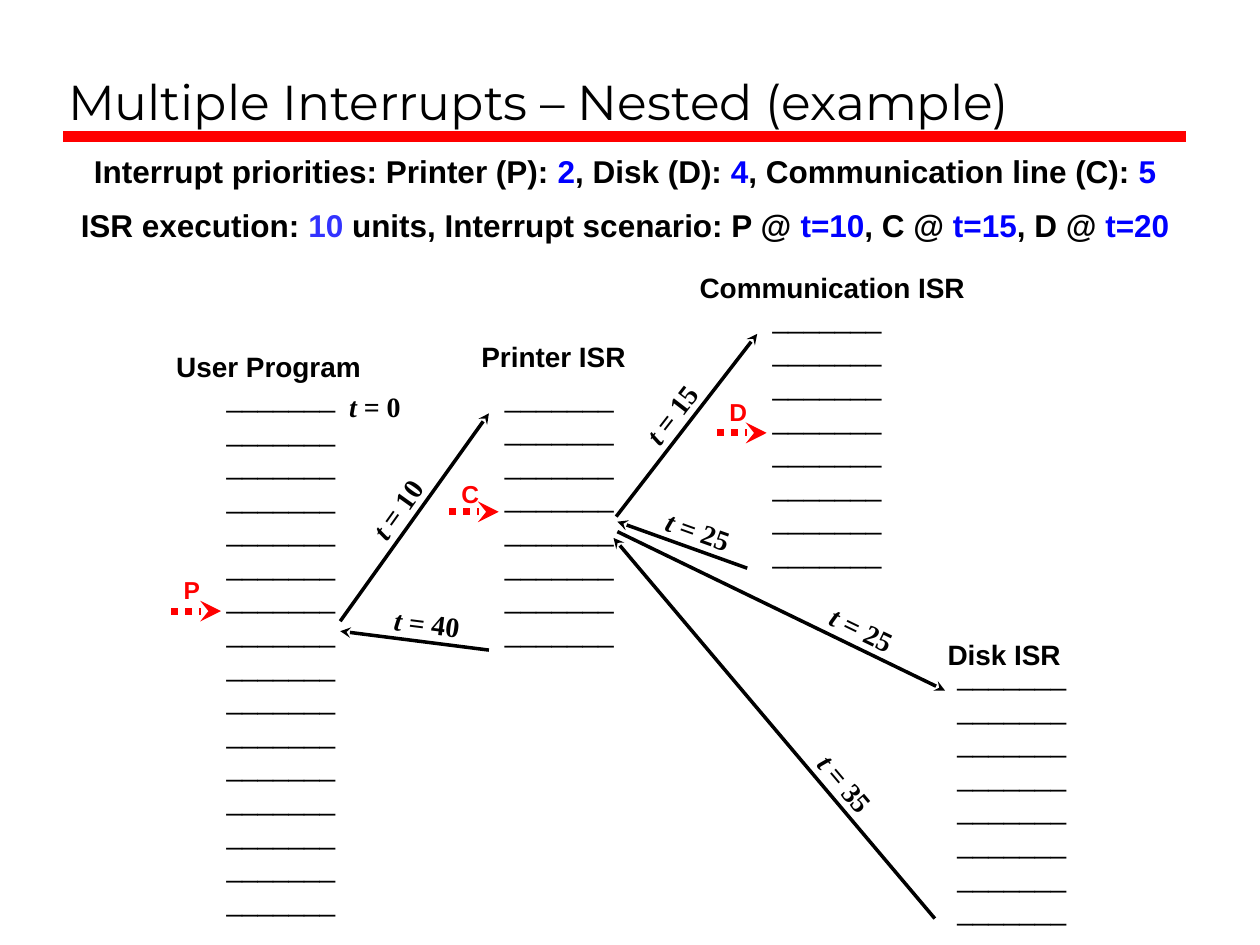
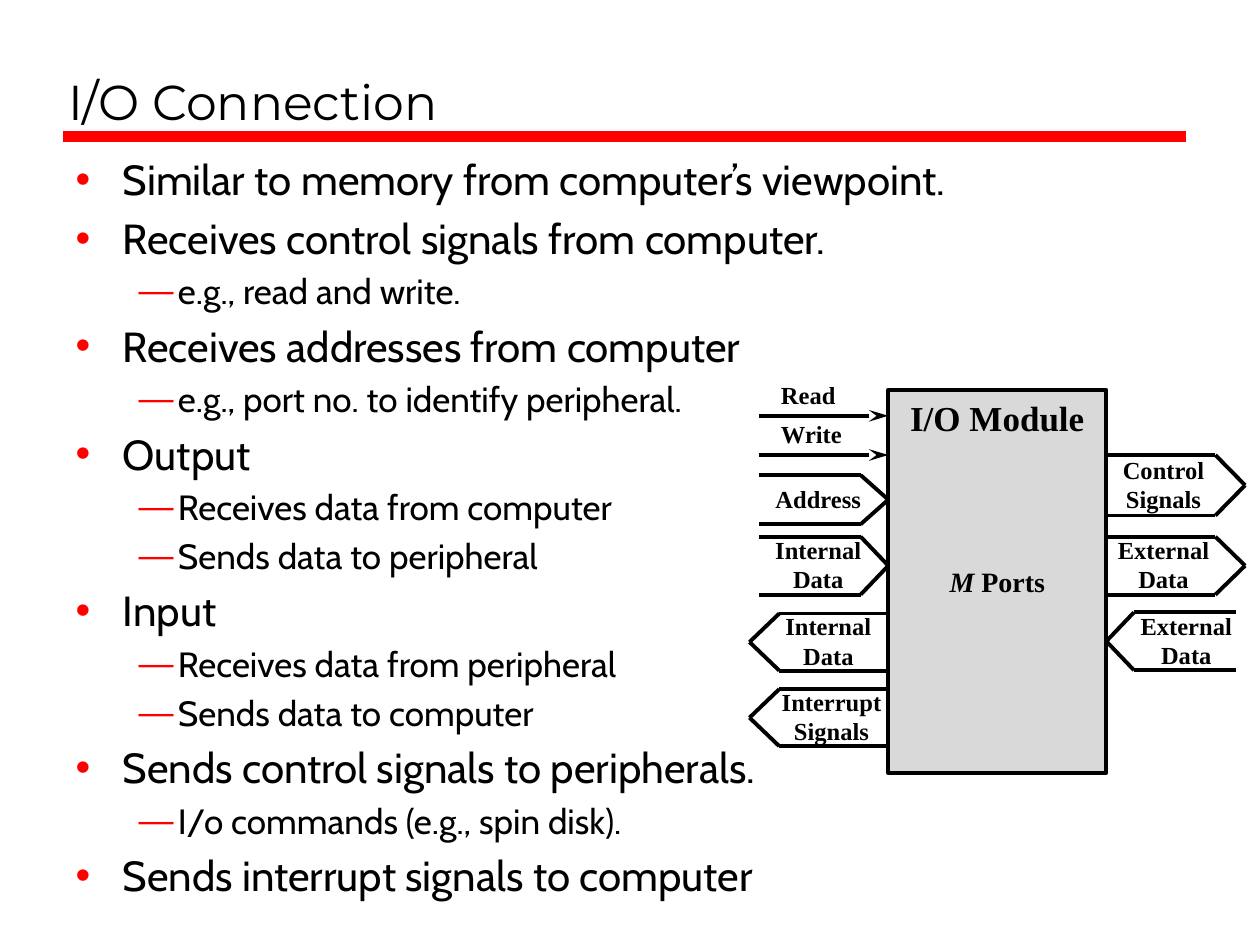
from collections import namedtuple
from dataclasses import dataclass
from itertools import pairwise
from math import atan2, cos, degrees, sin

from lxml.etree import SubElement as Sub
from pptx import Presentation
from pptx.dml.color import RGBColor as RGB
from pptx.enum.dml import MSO_LINE as Dash
from pptx.enum.shapes import MSO_CONNECTOR as Link, MSO_SHAPE as Kind
from pptx.enum.text import MSO_ANCHOR as Anchor, MSO_AUTO_SIZE as Auto, PP_ALIGN as Align
from pptx.oxml.ns import qn
from pptx.util import Pt

Box = namedtuple("Box", "x y w h")


@dataclass(frozen=True)
class Theme:
    """Colours, fonts and type sizes shared by the slides."""
    ink: str = "000000"
    red: str = "FF0000"
    blue: str = "0000FF"
    pale: str = "3333FF"
    gray: str = "D9D9D9"
    head: str = "Montserrat"
    body: str = "Cabin"
    sans: str = "Arial"
    serif: str = "Times New Roman"
    title: int = 28
    big: int = 24
    mid: int = 20
    note: int = 18
    text: int = 16
    small: int = 14
    lead: float = 1.2


T = Theme()
HEAD = Box(31.7, 12.2, 645.8, 66.2)
RULE = Box(36, 78, 642, 0)
BRIEF = Box(31, 83.5, 652.3, 61.9)
TRACE = Box(90, 150, 540, 390)
LIST = Box(36, 84.2, 643.7, 444.2)
MODULE = Box(507.6, 222.8, 124.6, 218.9)

ROUTINES = [
    ("User Program", 16, 32.4, 63.3, -28.8, -17.1, 121.7),
    ("Printer ISR", 8, 191.5, 63.1, -13.5, -22.8, 97.9),
    ("Communication ISR", 8, 344.5, 18.1, -41.8, -16.9, 167.8),
    ("Disk ISR", 8, 450, 222.2, -5.6, -11.5, 89),
]
JUMPS = [
    (10, (104.4, 205), (189.4, 86.2), -2.3),
    (15, (262.1, 145.2), (342.7, 40.8), -0.7),
    (25, (262.8, 153.8), (450, 244.6), 46),
    (25, (337, 174.7), (262.8, 148.1), 5.8),
    (35, (444.2, 374.9), (260.6, 157.4), 50.2),
    (40, (189.4, 221.5), (104.4, 210.7), 5.9),
]
CUES = [("P", 7.9, 199.2, 24.2), ("C", 166.6, 142.5, 22.5), ("D", 319.7, 97.4, 24.3)]
BRIEFS = [
    "Interrupt priorities: Printer (P): *2*, Disk (D): *4*, Communication line (C): *5",
    "ISR execution: *10* units, Interrupt scenario: P @ *t=10*, C @ *t=15*, D @ *t=20",
]
POINTS = [
    (0, "Similar to memory from computer’s viewpoint."),
    (0, "Receives control signals from computer."),
    (1, "e.g., read and write."),
    (0, "Receives addresses from computer"),
    (1, "e.g., port no. to identify peripheral."),
    (0, "Output"),
    (1, "Receives data from computer"),
    (1, "Sends data to peripheral"),
    (0, "Input"),
    (1, "Receives data from peripheral"),
    (1, "Sends data to computer"),
    (0, "Sends control signals to peripherals."),
    (1, "I/o commands (e.g., spin disk)."),
    (0, "Sends interrupt signals to computer"),
]
LEVELS = [(T.big, 4.8, 27, -27, "•"), (T.mid, 4, 58.5, -22.5, "—")]
LEFT, RIGHT = -1, 1
INTO, OUT = (74, 15.8, 0), (0, 62.3, 79.3)
TAGS = [
    (LEFT, INTO, 48.7, 28.1, 40, ["Address"]),
    (LEFT, INTO, 83.9, 33.1, 40, ["Internal", "Data"]),
    (LEFT, OUT, 127.8, 32.6, 34.2, ["Internal", "Data"]),
    (LEFT, OUT, 171, 32.6, 32.4, ["Interrupt", "Signals"]),
    (RIGHT, OUT, 37.2, 34.6, 32.7, ["Control", "Signals"]),
    (RIGHT, OUT, 83.9, 33.1, 32.7, ["External", "Data"]),
    (RIGHT, INTO, 127.1, 33.1, 45.7, ["External", "Data"]),
]
SIGNALS = [("Read", 14.8), ("Write", 37.2)]


def color(hue):
    """Turn a hex string into a colour."""
    return RGB.from_string(hue)


def spot(box):
    """Give the box as four lengths."""
    return [Pt(v) for v in box]


def write(par, text, size=T.text, font=T.sans, hue=T.ink, bold=True,
          align=Align.LEFT, before=0, lead=T.lead, alt_hue=None, slant=False):
    """Fill a paragraph; parts between asterisks take the second colour or the slant."""
    par.alignment = align
    par.space_before = Pt(before)
    if lead:
        par.line_spacing = Pt(size * lead)
    for i, part in enumerate(text.split("*")):
        if not part:
            continue
        run = par.add_run()
        run.text = part
        face = run.font
        face.size, face.name, face.bold = Pt(size), font, bold
        face.italic = slant and i % 2 == 1
        face.color.rgb = color(alt_hue if alt_hue and i % 2 else hue)


def label(slide, box, lines, gap=0, **form):
    """Add a text box with one paragraph a line."""
    item = slide.shapes.add_textbox(*spot(box))
    frame = item.text_frame
    frame.word_wrap = False
    for i, line in enumerate(lines):
        par = frame.paragraphs[0] if i == 0 else frame.add_paragraph()
        write(par, line, before=gap if i else 0, **form)
    return item


def line(slide, start, end, width, hue=T.ink, head="med", dash=None):
    """Draw a straight line, with an arrowhead of the given length if any."""
    ends = [Pt(v) for v in (*start, *end)]
    item = slide.shapes.add_connector(Link.STRAIGHT, *ends)
    item.line.width = Pt(width)
    item.line.color.rgb = color(hue)
    if dash:
        item.line.dash_style = dash
    props = item.element.spPr
    if head:
        Sub(props.find(qn("a:ln")), qn("a:tailEnd"), type="stealth", len=head)
    Sub(props, qn("a:effectLst"))


def place(item, box):
    """Move a placeholder to the box."""
    item.left, item.top, item.width, item.height = spot(box)
    item.text_frame.auto_size = Auto.NONE
    item.text_frame.word_wrap = True


def page(deck, layout, title):
    """Add a slide with its title and red rule."""
    slide = deck.slides.add_slide(deck.slide_layouts[layout])
    head = slide.shapes.title
    place(head, HEAD)
    head.text_frame.vertical_anchor = Anchor.BOTTOM
    write(head.text_frame.paragraphs[0], title, size=T.title, font=T.head,
          bold=False, lead=None)
    line(slide, RULE[:2], (RULE.x + RULE.w, RULE.y), 6, T.red, head=None)
    return slide


def brief(slide, box):
    """State the priorities and the scenario."""
    item = label(slide, box, BRIEFS, gap=9.2, size=T.note,
                 align=Align.CENTER, alt_hue=T.blue)
    item.text_frame.paragraphs[1].runs[1].font.color.rgb = color(T.pale)


def clock(slide, x, y, time, turn=0):
    """Centre a time mark on a point."""
    item = label(slide, Box(x - 28, y - 13.3, 56, 26.6), [f"*t *= {time}"],
                 font=T.serif, align=Align.CENTER, slant=True)
    item.rotation = turn


def jump(slide, box, time, start, end, shift):
    """Draw a transfer of control with its time set above and along it."""
    a, b = [(box.x + x, box.y + y) for x, y in (start, end)]
    line(slide, a, b, 2)
    (x1, y1), (x2, y2) = sorted((a, b))
    turn, lift = atan2(y2 - y1, x2 - x1), 10.6
    x = (x1 + x2) / 2 + shift * cos(turn) + lift * sin(turn)
    y = (y1 + y2) / 2 + shift * sin(turn) - lift * cos(turn)
    clock(slide, x, y, time, degrees(turn))


def trace(slide, box):
    """Draw the routines, the jumps between them and the interrupt cues."""
    for name, count, x, y, dx, dy, wide in ROUTINES:
        x, y = box.x + x, box.y + y
        label(slide, Box(x + dx, y + dy, wide, 26.6), [name])
        tall = count * T.text * T.lead + 7.2
        label(slide, Box(x, y, 77, tall), ["_" * 7] * count, bold=False)
    clock(slide, box.x + 124.2, box.y + 82.2, 0)
    for item in JUMPS:
        jump(slide, box, *item)
    for name, x, y, lift in CUES:
        x, y = box.x + x, box.y + y
        label(slide, Box(x, y - lift, 24.2, 24.5), [name], size=T.small, hue=T.red)
        line(slide, (x, y), (x + 28.4, y), 4, T.red, dash=Dash.ROUND_DOT)


def bullets(slide, box):
    """Fill the body with the two-level list."""
    item = slide.placeholders[1]
    place(item, box)
    frame = item.text_frame
    for i, (level, text) in enumerate(POINTS):
        par = frame.paragraphs[0] if i == 0 else frame.add_paragraph()
        size, gap, left, hang, mark = LEVELS[level]
        par.level = level
        write(par, text, size=size, font=T.body, bold=False, lead=None,
              before=gap if i else 0)
        props = par._p.get_or_add_pPr()
        props.set("marL", str(Pt(left)))
        props.set("indent", str(Pt(hang)))
        Sub(Sub(props, qn("a:buClr")), qn("a:srgbClr"), val=T.red)
        Sub(props, qn("a:buChar"), char=mark)


def tag(slide, box, side, form, top, tall, reach, lines):
    """Draw an open bus arrow on one side of the module, with its label."""
    edge = box.x if side == LEFT else box.x + box.w
    tail, neck, tip = [edge + side * v for v in form]
    y = box.y + top
    dots = [(tail, y), (neck, y), (tip, y + tall / 2), (neck, y + tall), (tail, y + tall)]
    bus = slide.shapes.add_group_shape()
    for start, end in pairwise(dots):
        line(bus, start, end, 2.25, head=None)
    high = len(lines) * T.small * T.lead + 7.2
    area = Box(edge + side * reach - 40, y + tall / 2 - high / 2 - 0.7, 80, high)
    label(slide, area, lines, size=T.small, font=T.serif, align=Align.CENTER)


def module(slide, box):
    """Draw the I/O module with its signals and buses."""
    item = slide.shapes.add_shape(Kind.RECTANGLE, *spot(box))
    item.shadow.inherit = False
    item.fill.solid()
    item.fill.fore_color.rgb = color(T.gray)
    item.line.color.rgb = color(T.ink)
    item.line.width = Pt(2.25)
    frame = item.text_frame
    frame.word_wrap = True
    frame.vertical_anchor = Anchor.TOP
    form = dict(font=T.serif, align=Align.CENTER)
    write(frame.paragraphs[0], "I/O Module", size=T.mid, **form)
    write(frame.add_paragraph(), "*M* Ports", before=72, slant=True, **form)
    for name, y in SIGNALS:
        y += box.y
        line(slide, (box.x - 74, y), (box.x, y), 2.25, head="lg")
        label(slide, Box(box.x - 68.4, y - 24.2, 52, 24.5), [name],
              size=T.small, font=T.serif)
    for part in TAGS:
        tag(slide, box, *part)


def main():
    """Build and save the deck."""
    deck = Presentation()
    deck.slide_width, deck.slide_height = Pt(720), Pt(540)
    nest = page(deck, 5, "Multiple Interrupts – Nested (example)")
    brief(nest, BRIEF)
    trace(nest, TRACE)
    ports = page(deck, 1, "I/O Connection")
    bullets(ports, LIST)
    module(ports, MODULE)
    deck.save("out.pptx")


if __name__ == "__main__":
    main()
